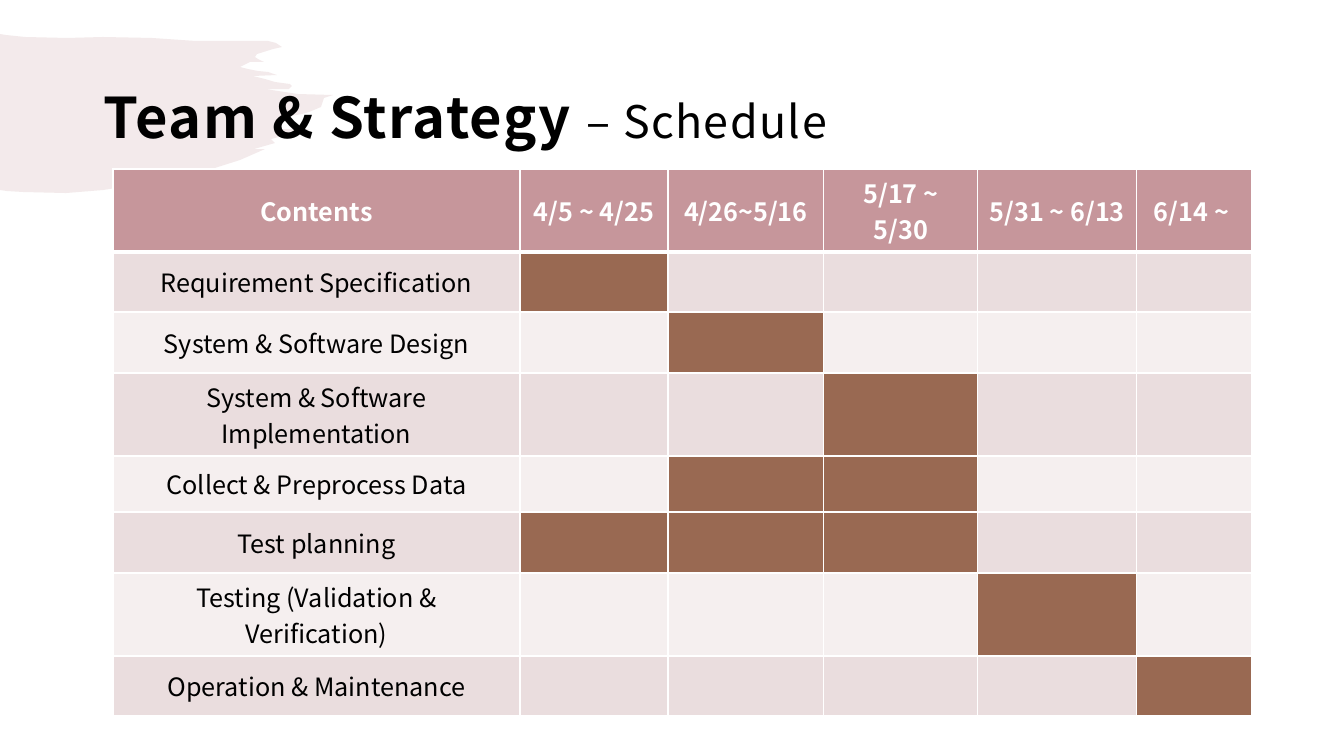
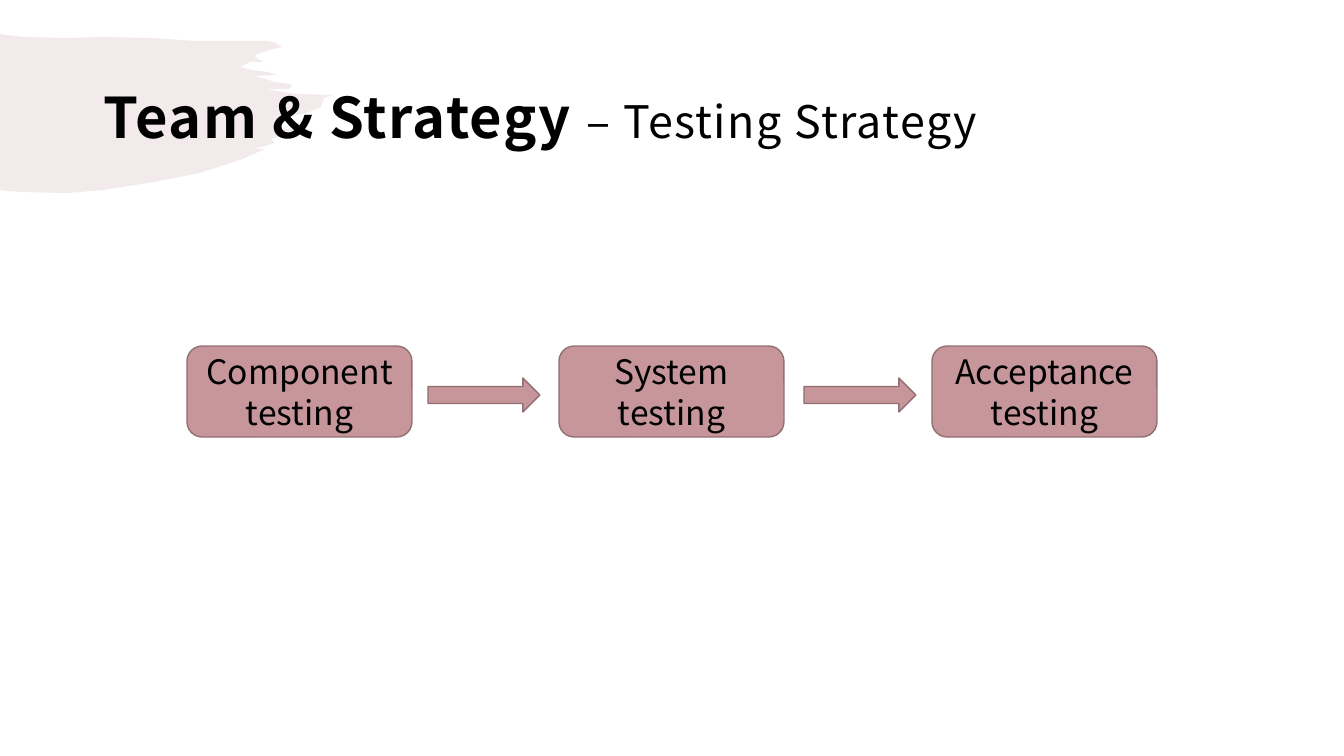
from dataclasses import dataclass

from lxml import etree
from pptx import Presentation
from pptx.dml.color import RGBColor
from pptx.enum import shapes, text
from pptx.oxml import ns
from pptx.util import Pt

SCALE = 914400 / 100.8


@dataclass(frozen=True)
class Theme:
    """Colours, font and type sizes of the deck."""
    font: str = "Noto Sans CJK KR"
    rose: str = "C6969B"
    outline: str = "926F73"
    busy: str = "996952"
    bands: tuple = ("EADDDE", "F5EFEF")
    dark: str = "000000"
    light: str = "FFFFFF"
    title_size: int = 40
    subtitle_size: int = 32
    box_size: int = 24
    cell_size: int = 18


THEME = Theme()

BRUSH = [
    (0, 34), (6, 35), (25, 37), (67, 38), (103, 37), (152, 38), (196, 41),
    (250, 41), (268, 41), (276, 43), (282, 47), (273, 49), (257, 54),
    (255, 57), (258, 59), (264, 62), (250, 62), (240, 67), (248, 69),
    (258, 71), (268, 72), (277, 75), (253, 76), (265, 79), (275, 82),
    (282, 83), (290, 84), (292, 86), (289, 89), (286, 89), (265, 89),
    (298, 94), (333, 95), (324, 98), (321, 107), (309, 112), (302, 114),
    (285, 117), (282, 121), (280, 126), (276, 129), (310, 129), (271, 139),
    (275, 143), (254, 149), (265, 149), (240, 160), (199, 173), (154, 182),
    (103, 190), (66, 193), (23, 192), (7, 191), (0, 190),
]

PERIODS = ["4/5 ~ 4/25", "4/26~5/16", "5/17 ~ 5/30", "5/31 ~ 6/13", "6/14 ~ "]
# Each task with the numbers of the periods in which it runs
TASKS = [
    ("Requirement Specification", {1}),
    ("System & Software Design", {2}),
    ("System & Software Implementation", {3}),
    ("Collect & Preprocess Data", {2, 3}),
    ("Test planning", {1, 2, 3}),
    ("Testing (Validation & Verification)", {4}),
    ("Operation & Maintenance", {5}),
]
COLUMN_WIDTHS = [407, 148, 156, 154, 159, 115]
ROW_HEIGHTS = [83, 60, 61, 83, 56, 61, 83, 60]
# Each testing stage with its left edge
STAGES = [("Component testing", 187), ("System testing", 559),
          ("Acceptance testing", 932)]
ARROW_LEFTS = [428, 804]


def px(n):
    """Turn pixels into EMU."""
    return round(n * SCALE)


def rgb(code):
    """Turn a hex code into a colour."""
    return RGBColor.from_string(code)


def paint(sp, fill, line=None):
    """Give a shape a flat fill and an optional outline."""
    sp.shadow.inherit = False
    sp.fill.solid()
    sp.fill.fore_color.rgb = rgb(fill)
    if line:
        sp.line.color.rgb = rgb(line)
        sp.line.width = Pt(1)
    else:
        sp.line.fill.background()


def style(p, color, size=None, bold=None):
    """Set the font of a whole paragraph."""
    p.font.name = THEME.font
    p.font.color.rgb = rgb(color)
    if size:
        p.font.size = Pt(size)
    p.font.bold = bold


def add_brush(slide):
    """Draw the pale brush stroke behind the title."""
    fb = slide.shapes.build_freeform(*BRUSH[0], scale=SCALE)
    fb.add_line_segments(BRUSH[1:], close=True)
    sp = fb.convert_to_shape()
    paint(sp, THEME.rose)
    color = sp.fill._xPr.find(".//" + ns.qn("a:srgbClr"))
    etree.SubElement(color, ns.qn("a:alpha"), val="20000")


def add_title(slide, subtitle):
    """Write the section title followed by the lighter subtitle."""
    tf = slide.shapes.add_textbox(px(92), px(40), px(1160), px(146)).text_frame
    tf.word_wrap = True
    tf.vertical_anchor = text.MSO_ANCHOR.MIDDLE
    tf.margin_left = tf.margin_top = tf.margin_right = px(12)
    tf.margin_bottom = px(10)
    p = tf.paragraphs[0]
    p.line_spacing = 1.05
    style(p, THEME.dark)
    for words, size, bold in (("Team & Strategy ", THEME.title_size, True),
                              (f"– {subtitle}", THEME.subtitle_size, False)):
        r = p.add_run()
        r.text = words
        r.font.size = Pt(size)
        r.font.bold = bold
        r.font._element.set("spc", "100")


def add_slide(prs, subtitle):
    """Add a blank slide with the shared brush stroke and title."""
    slide = prs.slides.add_slide(prs.slide_layouts[6])
    add_brush(slide)
    add_title(slide, subtitle)
    return slide


def set_borders(cell, top, bottom):
    """Draw light cell borders; top and bottom are widths in points."""
    tc_pr = cell._tc.get_or_add_tcPr()
    for side, width in (("L", 1), ("R", 1), ("T", top), ("B", bottom)):
        ln = etree.SubElement(tc_pr, ns.qn(f"a:ln{side}"), w=str(Pt(width)))
        fill = etree.SubElement(ln, ns.qn("a:solidFill"))
        etree.SubElement(fill, ns.qn("a:srgbClr"), val=THEME.light)


def fill_cell(cell, fill, words="", color=THEME.dark, bold=False):
    """Fill a cell and centre its words."""
    cell.fill.solid()
    cell.fill.fore_color.rgb = rgb(fill)
    cell.vertical_anchor = text.MSO_ANCHOR.MIDDLE
    p = cell.text_frame.paragraphs[0]
    p.alignment = text.PP_ALIGN.CENTER
    if words:
        p.text = words
        style(p, color, THEME.cell_size, bold)


def add_schedule(slide, left, top):
    """Build the schedule table, marking the busy periods of each task."""
    frame = slide.shapes.add_table(
        len(ROW_HEIGHTS), len(COLUMN_WIDTHS), px(left), px(top),
        px(sum(COLUMN_WIDTHS)), px(sum(ROW_HEIGHTS)))
    table = frame.table
    table.first_row = table.horz_banding = False
    for column, width in zip(table.columns, COLUMN_WIDTHS):
        column.width = px(width)
    for i, (row, height) in enumerate(zip(table.rows, ROW_HEIGHTS)):
        row.height = px(height)
        for cell in row.cells:
            set_borders(cell, 3 if i == 1 else 1, 3 if i == 0 else 1)
    for j, heading in enumerate(["Contents"] + PERIODS):
        fill_cell(table.cell(0, j), THEME.rose, heading, THEME.light, True)
    for i, (task, busy) in enumerate(TASKS):
        band = THEME.bands[i % 2]
        fill_cell(table.cell(i + 1, 0), band, task)
        for j in range(1, len(COLUMN_WIDTHS)):
            fill_cell(table.cell(i + 1, j), THEME.busy if j in busy else band)


def add_block(slide, kind, left, top, width, height):
    """Add an outlined rose shape."""
    sp = slide.shapes.add_shape(kind, px(left), px(top), px(width), px(height))
    paint(sp, THEME.rose, THEME.outline)
    return sp


def add_stage(slide, left, words):
    """Add one rounded box of the testing flow."""
    kind = shapes.MSO_SHAPE.FLOWCHART_ALTERNATE_PROCESS
    tf = add_block(slide, kind, left, 346, 225, 91).text_frame
    tf.word_wrap = True
    tf.vertical_anchor = text.MSO_ANCHOR.MIDDLE
    p = tf.paragraphs[0]
    p.text = words
    p.alignment = text.PP_ALIGN.CENTER
    style(p, THEME.dark, THEME.box_size)


def add_flow(slide):
    """Lay out the testing stages and the arrows between them."""
    for stage, left in STAGES:
        add_stage(slide, left, stage)
    for left in ARROW_LEFTS:
        add_block(slide, shapes.MSO_SHAPE.RIGHT_ARROW, left, 378, 112, 34)


def main():
    """Build and save the deck."""
    prs = Presentation()
    prs.slide_width, prs.slide_height = px(1344), px(756)
    add_schedule(add_slide(prs, "Schedule"), 113, 169)
    add_flow(add_slide(prs, "Testing Strategy"))
    prs.save("out.pptx")


main()
